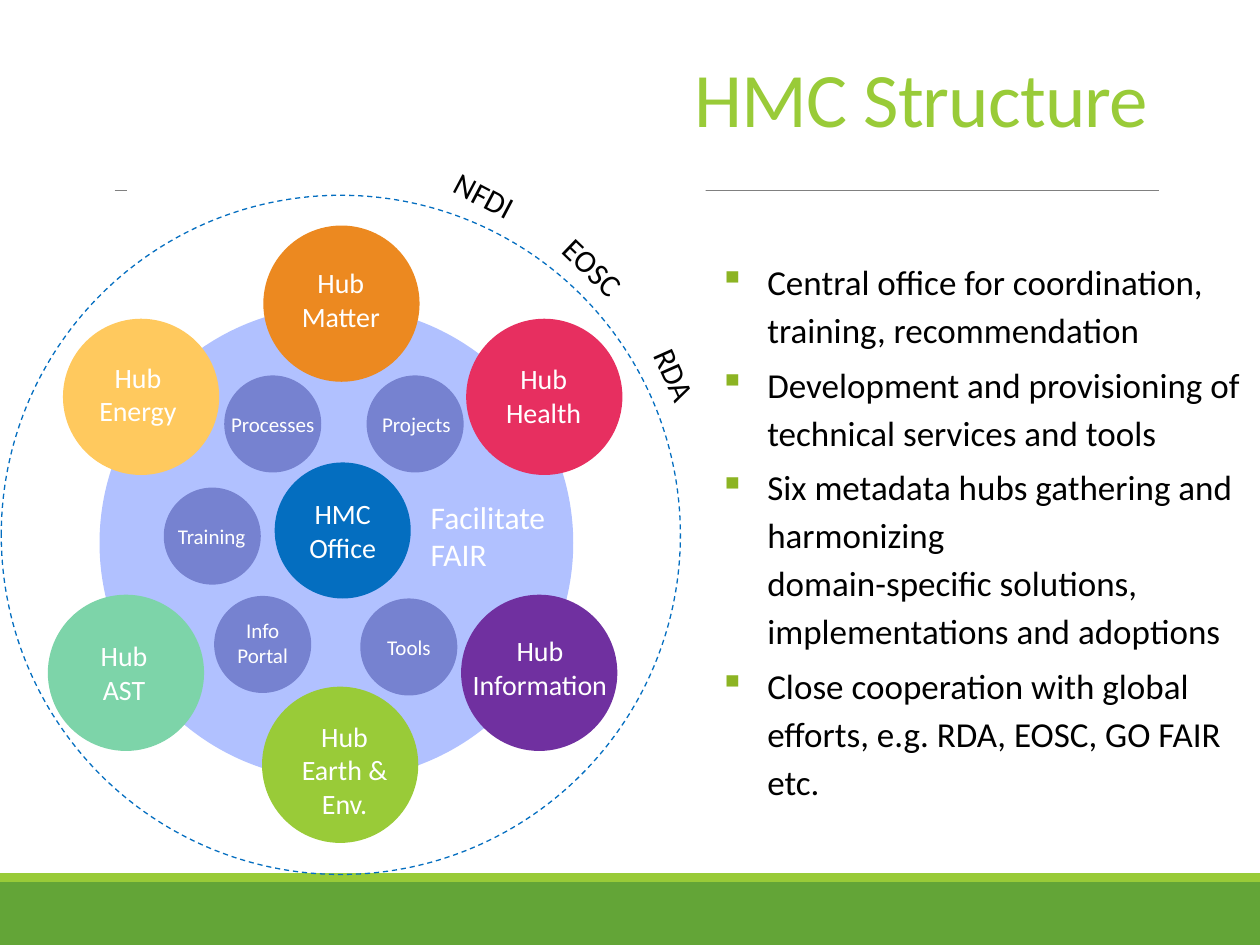
"""Build the HMC Structure slide with its hub diagram and bullet list."""
import lxml.etree
import pptx
import pptx.dml.color
import pptx.enum.dml
import pptx.enum.shapes
import pptx.enum.text
import pptx.oxml.ns
import pptx.util

Inches = pptx.util.Inches
Pt = pptx.util.Pt
qn = pptx.oxml.ns.qn
SHAPES = pptx.enum.shapes.MSO_SHAPE
ALIGN = pptx.enum.text.PP_ALIGN
ANCHOR = pptx.enum.text.MSO_ANCHOR
color = pptx.dml.color.RGBColor.from_string

deck = pptx.Presentation()
deck.slide_width, deck.slide_height = Inches(10), Inches(7.5)
slide = deck.slides.add_slide(deck.slide_layouts[6])


def add_shape(kind, left, top, width, height, fill=None):
    shape = slide.shapes.add_shape(kind, Inches(left), Inches(top), Inches(width), Inches(height))
    shape.shadow.inherit = False
    shape.line.fill.background()
    if fill:
        shape.fill.solid()
        shape.fill.fore_color.rgb = color(fill)
    else:
        shape.fill.background()
    return shape


def add_text(lines, left, top, width, height, size, ink, align=ALIGN.LEFT, wrap=True, holder=None):
    box = holder or slide.shapes.add_textbox(Inches(left), Inches(top), Inches(width), Inches(height))
    frame = box.text_frame
    frame.word_wrap = wrap
    for number, line in enumerate(lines):
        paragraph = frame.add_paragraph() if number else frame.paragraphs[0]
        paragraph.text = line
        paragraph.alignment = align
        paragraph.font.size = Pt(size)
        paragraph.font.name = "Calibri"
        paragraph.font.color.rgb = color(ink)
    return box


add_shape(SHAPES.RECTANGLE, 0, 7, 10, 0.5, "63A537")
add_shape(SHAPES.RECTANGLE, 0, 6.93, 10, 0.07, "99CB38")
rule = slide.shapes.add_connector(
    pptx.enum.shapes.MSO_CONNECTOR.STRAIGHT, Inches(0.91), Inches(1.51), Inches(9.2), Inches(1.51))
rule.line.color.rgb = color("808080")
rule.line.width = Pt(0.5)
lxml.etree.SubElement(rule.element.spPr, qn("a:effectLst"))
add_shape(SHAPES.RECTANGLE, 1.01, 1.31, 4.59, 0.93, "FFFFFF")

title = add_text(["HMC Structure"], 0.83, 0.12, 8.38, 1.07, 44, "99CB38", ALIGN.RIGHT)
title.text_frame.vertical_anchor = ANCHOR.BOTTOM
title_line = title.text_frame.paragraphs[0]
title_line.line_spacing = 0.85
title_line.runs[0].font._element.set("spc", "-50")

points = [
    "Central office for coordination, training, recommendation",
    "Development and provisioning of technical services and tools",
    "Six metadata hubs gathering and harmonizing\vdomain-specific solutions, implementations and adoptions",
    "Close cooperation with global efforts, e.g. RDA, EOSC, GO FAIR etc.",
]
body = add_text(points, 5.31, 2.02, 4.61, 5.35, 20, "000000").text_frame
body.margin_left = body.margin_right = body.margin_top = body.margin_bottom = 0
for point in body.paragraphs:
    point.line_spacing = 1.14
    point.space_before = Pt(4)
    properties = point._p.get_or_add_pPr()
    properties.set("marL", str(Inches(0.78)))
    properties.set("indent", str(Inches(-0.38)))
    bullet_color = lxml.etree.SubElement(properties, qn("a:buClr"))
    lxml.etree.SubElement(bullet_color, qn("a:srgbClr"), val="8CB423")
    lxml.etree.SubElement(properties, qn("a:buChar"), char="▪")
    properties.append(properties.find(qn("a:defRPr")))

add_shape(SHAPES.OVAL, 0.79, 2.43, 3.76, 3.76, "B1C1FF")
office = add_shape(SHAPES.OVAL, 2.18, 3.67, 1.08, 1.08, "046EC0")
office.text_frame.vertical_anchor = ANCHOR.MIDDLE
add_text(["HMC", "Office"], 0, 0, 0, 0, 16, "FFFFFF", ALIGN.CENTER, holder=office)

hubs = [
    (2.08, 5.45, "99CB38", ["Hub", "Earth &", "Env."], 1.97, 5.66),
    (3.7, 2.53, "E72F60", ["Hub", "Health"], 3.55, 2.82),
    (0.38, 4.72, "7DD4A9", ["Hub", "AST"], 0.22, 5.02),
    (3.66, 4.72, "7030A0", ["Hub", "Information"], 3.52, 4.98),
    (2.09, 1.79, "EC8920", ["Hub", "Matter"], 1.94, 2.06),
    (0.5, 2.53, "FFC95E", ["Hub", "Energy"], 0.33, 2.81),
]
for left, top, fill, label, label_left, label_top in hubs:
    add_shape(SHAPES.OVAL, left, top, 1.24, 1.24, fill)
    add_text(label, label_left, label_top, 1.53, 0.64 if len(label) == 2 else 0.94,
             16, "FFFFFF", ALIGN.CENTER)

services = [
    (2.91, 2.98, "Projects", 2.93, 3.22, 0.75, 0.3),
    (1.78, 2.98, "Processes", 1.73, 3.22, 0.87, 0.3),
    (1.3, 3.87, "Training", 1.31, 4.11, 0.74, 0.3),
    (2.86, 4.75, "Tools", 2.97, 4.99, 0.55, 0.3),
    (1.7, 4.73, "Info\vPortal", 1.78, 4.85, 0.61, 0.5),
]
for left, top, label, *label_place in services:
    add_shape(SHAPES.OVAL, left, top, 0.77, 0.77, "7682D0")
    add_text([label], *label_place, 12, "FFFFFF", ALIGN.CENTER, wrap=False)

add_text(["Facilitate\vFAIR"], 3.32, 3.9, 1.15, 0.71, 18, "FFFFFF")

outer_ring = add_shape(SHAPES.OVAL, 0.01, 1.55, 5.39, 5.39)
outer_ring.line.color.rgb = color("046EC0")
outer_ring.line.width = Pt(0.75)
outer_ring.line.dash_style = pptx.enum.dml.MSO_LINE.DASH

partners = [
    ("NFDI", 3.5, 1.35, 0.7, 27.8),
    ("EOSC", 4.34, 1.92, 0.74, 43.8),
    ("RDA", 5.04, 2.78, 0.64, 66),
]
for partner, left, top, width, angle in partners:
    add_text([partner], left, top, width, 0.4, 18, "000000", wrap=False).rotation = angle

deck.save("out.pptx")
